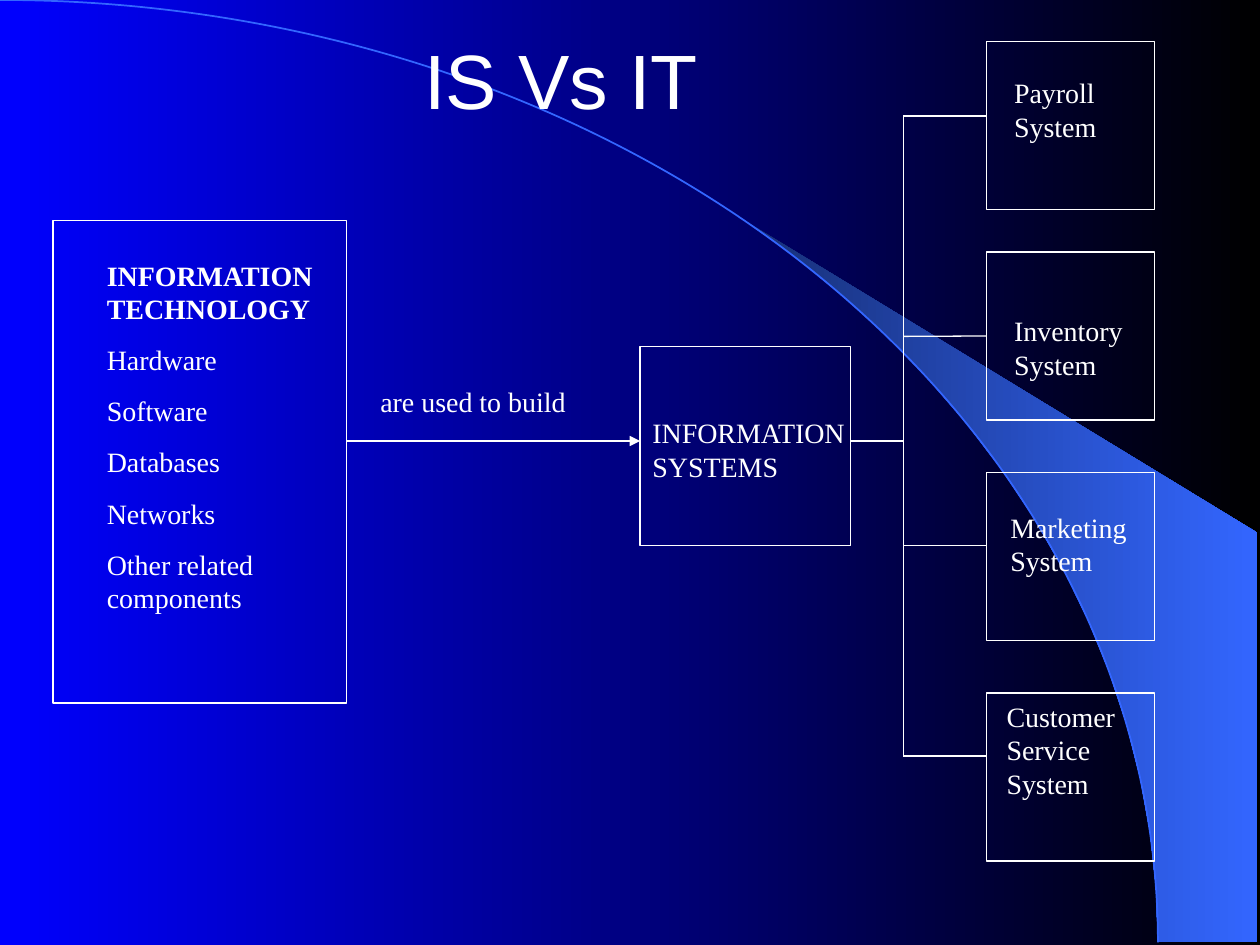
from math import cos, radians, sin

from lxml import etree
from pptx import Presentation
from pptx.dml.color import RGBColor
from pptx.enum.shapes import MSO_CONNECTOR as Connector, MSO_SHAPE as Shape
from pptx.enum.text import MSO_ANCHOR as Anchor, MSO_AUTO_SIZE as AutoSize, PP_ALIGN as Align
from pptx.oxml.ns import qn
from pptx.util import Inches, Pt

WHITE = RGBColor(0xFF, 0xFF, 0xFF)
BLACK = RGBColor(0, 0, 0)
BLUE = RGBColor(0, 0, 0xFF)
SKY = RGBColor(0x33, 0x66, 0xFF)
NAVY = RGBColor(0x17, 0x2F, 0x75)

FLOW_Y = Inches(3.5)
TRUNK_X = Inches(7.17)
SYSTEM_LEFT, SYSTEM_SIZE = 7.83, 4 / 3
ARC_WIDTH, ARC_HEIGHT = 9.19, 7.48

# name, box top, branch height, text box (left, top, width, height)
SYSTEMS = [
    ("Payroll System", 0.33, 0.92, (7.95, 0.55, 1.17, 0.64)),
    ("Inventory System", 2, 2.67, (7.95, 2.44, 1.08, 0.64)),
    ("Marketing System", 3.75, 4.33, (7.92, 4, 1.17, 0.64)),
    ("Customer Service System", 5.5, 6, (7.89, 5.5, 1.17, 0.9)),
]
COMPONENTS = ["INFORMATION TECHNOLOGY", "Hardware", "Software", "Databases",
              "Networks", "Other related components"]


def fill_gradient(fill, start, end):
    fill.gradient()
    fill.gradient_angle = 0
    for stop, color in zip(fill.gradient_stops, (start, end)):
        stop.color.rgb = color


def add_text(page, box, lines, size=16, font="Times New Roman", bold_first=False,
             align=Align.LEFT, anchor=Anchor.TOP, space_before=10,
             auto_size=AutoSize.SHAPE_TO_FIT_TEXT):
    frame = page.shapes.add_textbox(*map(Inches, box)).text_frame
    frame.word_wrap = True
    frame.auto_size = auto_size
    frame.vertical_anchor = anchor
    for index, line in enumerate(lines):
        para = frame.add_paragraph() if index else frame.paragraphs[0]
        para.alignment = align
        para.space_before = Pt(space_before)
        span = para.add_run()
        span.text = line
        span.font.size = Pt(size)
        span.font.name = font
        span.font.bold = bold_first and index == 0
        span.font.color.rgb = WHITE


def add_frame(page, box, shape=Shape.RECTANGLE, color=WHITE, width=0.75):
    """Add an unfilled preset shape."""
    frame = page.shapes.add_shape(shape, *map(Inches, box))
    frame.shadow.inherit = False
    frame.fill.background()
    frame.line.color.rgb = color
    frame.line.width = Pt(width)
    return frame


def add_line(page, x1, y1, x2, y2, arrow=False):
    line = page.shapes.add_connector(Connector.STRAIGHT, x1, y1, x2, y2)
    line.line.color.rgb = WHITE
    line.line.width = Pt(0.75)
    etree.SubElement(line._element.spPr, qn("a:effectLst"))
    if arrow:
        etree.SubElement(line.line._get_or_add_ln(), qn("a:tailEnd"), type="triangle")
    return line


def arc_point(angle):
    """Point of the backdrop arc, in degrees clockwise from its top."""
    return (Inches(ARC_WIDTH * sin(radians(angle))),
            Inches(ARC_HEIGHT * (1 - cos(radians(angle)))))


def add_beam(page, start_angle=39.8, steps=15):
    builder = page.shapes.build_freeform(*arc_point(90))
    right = Inches(9.98)
    step = (90 - start_angle) / steps
    rim = [arc_point(start_angle + index * step) for index in range(steps)]
    builder.add_line_segments([(right, Inches(ARC_HEIGHT)), (right, Inches(4.23))] + rim)
    beam = builder.convert_to_shape()
    beam.shadow.inherit = False
    fill_gradient(beam.fill, NAVY, SKY)
    beam.line.fill.background()


def add_backdrop(page):
    fill_gradient(page.background.fill, BLUE, BLACK)
    add_beam(page)
    add_frame(page, (-ARC_WIDTH, 0, 2 * ARC_WIDTH, 2 * ARC_HEIGHT), shape=Shape.ARC,
              color=SKY, width=1)


def add_technology(page, box):
    left, top, _, _ = box
    add_text(page, (left + 0.33, top + 0.25, 2.17, 2.93), COMPONENTS, bold_first=True)
    return add_frame(page, box)


def add_information_systems(page, box):
    left, top, _, _ = box
    add_text(page, (left, top + 0.5, 1.83, 0.64), ["INFORMATION SYSTEMS"])
    return add_frame(page, box)


def add_system(page, box, name, branch, label_box):
    frame = add_frame(page, box)
    line = add_line(page, TRUNK_X, Inches(branch), frame.left, Inches(branch))
    middle = frame.top + frame.height / 2
    if abs(middle - Inches(branch)) < Inches(0.02):
        line.end_connect(frame, 1)
    add_text(page, label_box, [name])


def main():
    deck = Presentation()
    deck.slide_width, deck.slide_height = Inches(10), Inches(7.5)
    page = deck.slides.add_slide(deck.slide_layouts[6])

    add_backdrop(page)
    technology = add_technology(page, (0.42, 1.75, 2.33, 3.83))
    systems = add_information_systems(page, (5.08, 2.75, 1.67, 1.58))
    add_text(page, (2.92, 3, 2.08, 0.37), ["are used to build"])
    add_line(page, technology.left + technology.width, FLOW_Y, systems.left, FLOW_Y,
             arrow=True)
    add_line(page, systems.left + systems.width, FLOW_Y, TRUNK_X, FLOW_Y)
    add_line(page, TRUNK_X, Inches(SYSTEMS[0][2]), TRUNK_X, Inches(SYSTEMS[-1][2]))
    for name, top, branch, label_box in SYSTEMS:
        add_system(page, (SYSTEM_LEFT, top, SYSTEM_SIZE, SYSTEM_SIZE), name, branch,
                   label_box)
    add_text(page, (2.58, 0, 3.75, 1.25), ["IS Vs IT"], size=44, font="Arial",
             align=Align.CENTER, anchor=Anchor.MIDDLE, space_before=0,
             auto_size=AutoSize.NONE)

    deck.save("out.pptx")


if __name__ == "__main__":
    main()
